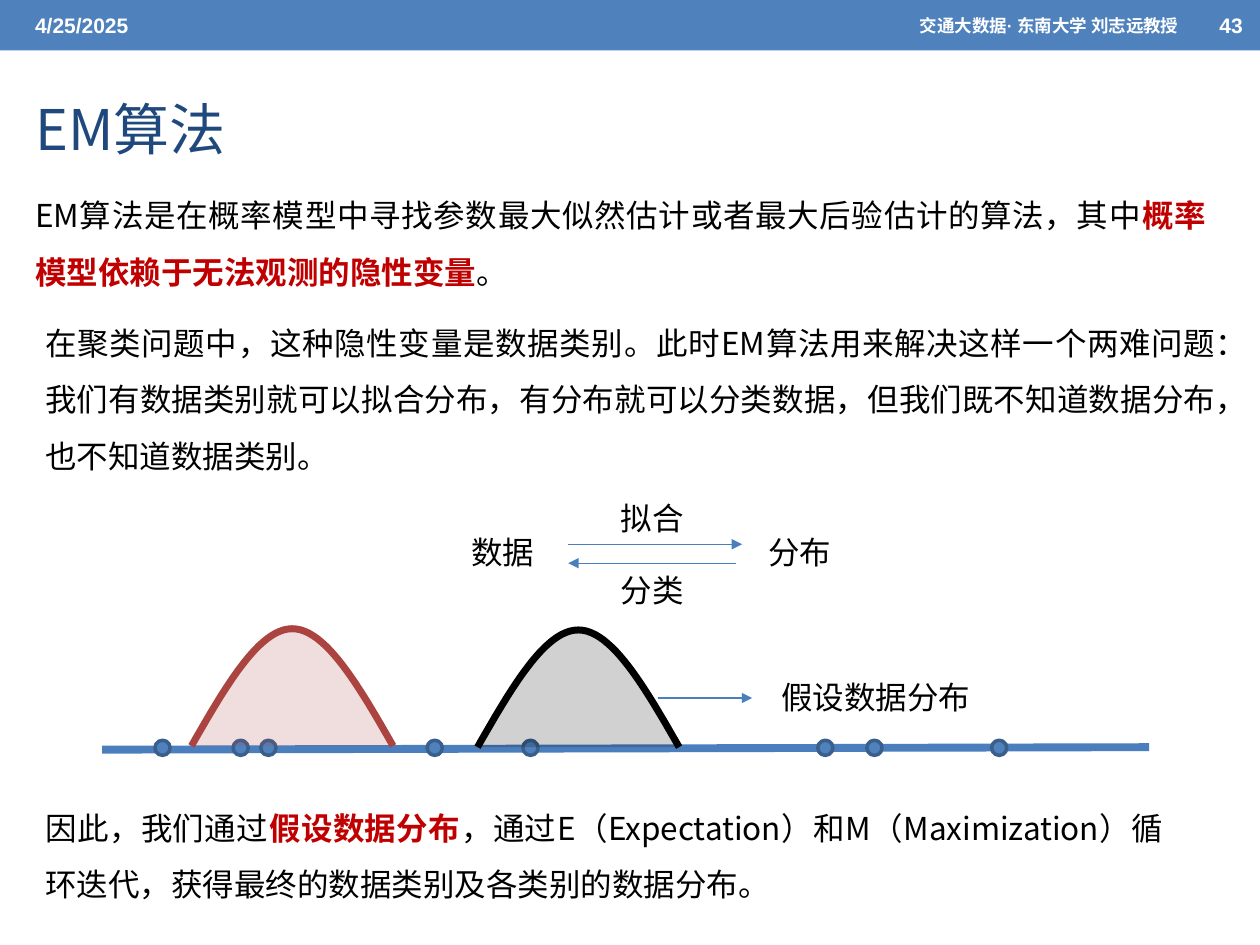
from lxml import etree
from pptx import Presentation
from pptx import util as u
from pptx.dml import color
from pptx.enum import shapes, text
from pptx.oxml import ns

SANS = "Noto Sans CJK SC"
BLUE, EDGE, LINE = "4F81BD", "3A5F8C", "4B7EBC"
BLACK, RED, WHITE = "000000", "C00000", "FFFFFF"
LEFT, RIGHT = text.PP_ALIGN.LEFT, text.PP_ALIGN.RIGHT
JUST = text.PP_ALIGN.JUSTIFY
TOP, MID = text.MSO_ANCHOR.TOP, text.MSO_ANCHOR.MIDDLE


def rgb(code):
    return color.RGBColor.from_string(code)


def inches(*nums):
    return [u.Inches(n) for n in nums]


def apply(thing, **vals):
    for key, val in vals.items():
        setattr(thing, key, val)


def write(slide, box, runs, size=18, font=SANS, align=LEFT, anchor=TOP, space=None):
    """Add a text box; runs is a list of (words, colour, bold)."""
    frame = slide.shapes.add_textbox(*inches(*box)).text_frame
    apply(frame, word_wrap=True, vertical_anchor=anchor)
    para = frame.paragraphs[0]
    apply(para, alignment=align, line_spacing=space)
    for words, tint, bold in runs:
        run = para.add_run()
        run.text = words
        apply(run.font, size=u.Pt(size), name=font, bold=bold)
        run.font.color.rgb = rgb(tint)
        east = etree.SubElement(run.font._element, ns.qn("a:ea"))
        east.set("typeface", SANS)


def label(slide, box, words):
    write(slide, box, [(words, BLACK, False)])


def paint(shape, fill, edge=None, width=0, alpha=None):
    shape.shadow.inherit = False
    shape.fill.solid()
    shape.fill.fore_color.rgb = rgb(fill)
    if alpha:
        tint = shape.fill._xPr.find(".//" + ns.qn("a:srgbClr"))
        etree.SubElement(tint, ns.qn("a:alpha")).set("val", str(alpha * 1000))
    if edge:
        shape.line.color.rgb = rgb(edge)
        shape.line.width = u.Pt(width)
    else:
        shape.line.fill.background()


def rule(slide, start, end, width=0.75, arrow=True):
    line = slide.shapes.add_connector(
        shapes.MSO_CONNECTOR.STRAIGHT, *inches(*start, *end))
    line.line.color.rgb = rgb(LINE)
    line.line.width = u.Pt(width)
    if arrow:
        tail = etree.SubElement(line.line._get_or_add_ln(), ns.qn("a:tailEnd"))
        tail.set("type", "triangle")
    etree.SubElement(line._element.spPr, ns.qn("a:effectLst"))


def header(slide, x, y, w, h):
    bar = slide.shapes.add_shape(shapes.MSO_SHAPE.RECTANGLE, *inches(x, y, w, h))
    paint(bar, BLUE)
    for left, wide, words, size, align in (
            (0.18, 3.17, "4/25/2025", 12, LEFT),
            (9.58, 0.42, "43", 12, LEFT),
            (4.17, 5.28, "交通大数据· 东南大学 刘志远教授", 10, RIGHT)):
        write(slide, (x + left, y + 0.02, wide, h - 0.04), [(words, WHITE, True)],
              size, "Arial", align, MID)


def body(slide, box, *runs):
    write(slide, box, runs, align=JUST, space=1.5)


def cycle(slide, x, y):
    """Data and distribution, joined by arrows both ways."""
    label(slide, (x, y + 0.27, 1, 0.4), "数据")
    label(slide, (x + 2.36, y + 0.27, 1, 0.4), "分布")
    rule(slide, (x + 0.87, y + 0.41), (x + 2.25, y + 0.41))
    rule(slide, (x + 2.2, y + 0.56), (x + 0.87, y + 0.56))
    label(slide, (x + 1.19, y, 0.89, 0.4), "拟合")
    label(slide, (x + 1.19, y + 0.57, 0.89, 0.4), "分类")


def bell(slide, x, y, w, h, fill, edge):
    """Draw a bell of two mirrored cubic curves, sampled evenly."""
    steps = 24
    half = []
    for i in range(steps + 1):
        t = i / steps
        # Handles divide the half width in thirds; heights run h, h/2, 0, 0.
        half.append((w / 2 * t, h * (1 - t) ** 3 + 1.5 * h * t * (1 - t) ** 2))
    points = half + [(w - a, b) for a, b in reversed(half[:-1])]
    points = [inches(x + a, y + b) for a, b in points]
    pen = slide.shapes.build_freeform(*points[0])
    pen.add_line_segments(points[1:], close=False)
    paint(pen.convert_to_shape(), fill, edge, 4, 18)


def axis(slide, x, y, w):
    rule(slide, (x, y + 0.02), (x + w, y), 4.5, False)
    size = 0.12
    for left in (0.42, 1.26, 1.04, 2.58, 3.34, 5.68, 6.07, 7.06):
        dot = slide.shapes.add_shape(
            shapes.MSO_SHAPE.OVAL, *inches(x + left, y - 0.055, size, size))
        paint(dot, BLUE, EDGE, 2)
    rule(slide, (x + 4.41, y - 0.39), (x + 5.16, y - 0.39))
    label(slide, (x + 5.29, y - 0.6, 1.81, 0.4), "假设数据分布")
    bell(slide, x + 0.71, y - 0.94, 1.6, 0.93, "AC4744", "AB4340")
    bell(slide, x + 2.98, y - 0.93, 1.6, 0.93, BLACK, BLACK)


def main():
    deck = Presentation()
    apply(deck, slide_width=u.Inches(10), slide_height=u.Inches(7.5))
    slide = deck.slides.add_slide(deck.slide_layouts[6])
    header(slide, 0, 0, 10, 0.4)
    write(slide, (0.18, 0.48, 9, 1.08), [("EM算法", "1F497D", False)], 32, anchor=MID)
    body(slide, (0.18, 1.36, 9.49, 1.41),
         ("EM算法是在概率模型中寻找参数最大似然估计或者最大后验估计的算法，其中", BLACK, False),
         ("概率模型依赖于无法观测的隐性变量", RED, True),
         ("。", BLACK, False))
    body(slide, (0.26, 2.37, 9.49, 1.87),
         ("在聚类问题中，这种隐性变量是数据类别。此时EM算法用来解决这样一个两难问题："
          "我们有数据类别就可以拟合分布，有分布就可以分类数据，但我们既不知道数据分布，"
          "也不知道数据类别。", BLACK, False))
    cycle(slide, 3.64, 3.91)
    body(slide, (0.26, 6.22, 9.07, 0.96),
         ("因此，我们通过", BLACK, False),
         ("假设数据分布", RED, True),
         ("，通过E（Expectation）和M（Maximization）循环迭代，"
          "获得最终的数据类别及各类别的数据分布。", BLACK, False))
    axis(slide, 0.81, 5.93, 8.31)
    deck.save("out.pptx")


if __name__ == "__main__":
    main()
